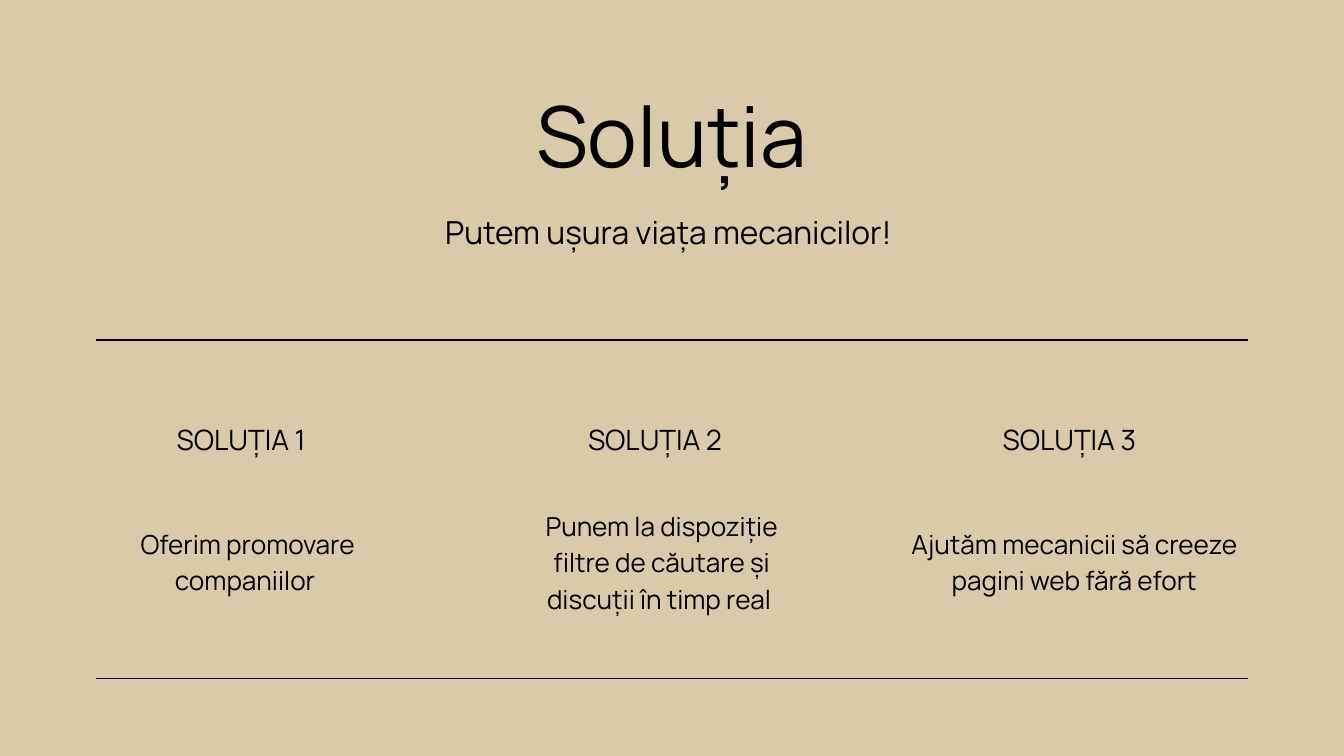
import dataclasses

import lxml.etree
import pptx
import pptx.dml.color
import pptx.enum.shapes
import pptx.enum.text
import pptx.oxml.ns
import pptx.util

ALIGN = pptx.enum.text.PP_ALIGN
SLIDE_WIDTH = pptx.util.Inches(20)
SLIDE_HEIGHT = pptx.util.Inches(11.25)


@dataclasses.dataclass(frozen=True)
class TextStyle:
    size: float
    leading: float  # line height as a multiple of the type size
    alignment: ALIGN = ALIGN.CENTER


@dataclasses.dataclass(frozen=True)
class Theme:
    font: str = "Manrope"
    ink: pptx.dml.color.RGBColor = pptx.dml.color.RGBColor(0, 0, 0)
    background: pptx.dml.color.RGBColor = pptx.dml.color.RGBColor(0xD9, 0xCA, 0xA9)
    rule_width: float = 1.5
    title: TextStyle = TextStyle(90, 1)
    subtitle: TextStyle = TextStyle(34, 1.1)
    heading: TextStyle = TextStyle(30, 1.4, ALIGN.LEFT)
    body: TextStyle = TextStyle(28, 1.4)


@dataclasses.dataclass(frozen=True)
class Solution:
    """One column; left edges and widths are in percent of the slide width."""
    heading: str
    heading_left: float
    heading_width: float
    body: str
    body_left: float
    body_width: float
    body_lines: int


THEME = Theme()
SOLUTIONS = [
    Solution("SOLUȚIA 1", 13.15, 16.1, "Oferim promovare companiilor ", 6.3, 24.25, 2),
    Solution("SOLUȚIA 2", 43.75, 17.25,
             "Punem la dispoziție filtre de căutare și discuții în timp real ",
             38.7, 21.05, 3),
    Solution("SOLUȚIA 3", 74.6, 16.6,
             "Ajutăm mecanicii să creeze pagini web fără efort", 66.15, 27.55, 2),
]
HEADING_TOP, HEADING_HEIGHT = 55.2, 5.07
BODY_MIDDLE, BODY_LINE_HEIGHT = 73.9, 4.76
RULE_LEFT, RULE_RIGHT = 7.15, 92.85
RULE_ROWS = (44.98, 89.78)


def across(percent):
    return round(SLIDE_WIDTH * percent / 100)


def down(percent):
    return round(SLIDE_HEIGHT * percent / 100)


def place(shape, left, top, width, height):
    shape.left, shape.top = across(left), down(top)
    shape.width, shape.height = across(width), down(height)


def write_text(shape, text, style):
    frame = shape.text_frame
    frame.word_wrap = True
    frame.auto_size = pptx.enum.text.MSO_AUTO_SIZE.SHAPE_TO_FIT_TEXT
    frame.vertical_anchor = pptx.enum.text.MSO_ANCHOR.TOP
    frame.margin_left = frame.margin_right = 0
    frame.margin_top = frame.margin_bottom = 0
    paragraph = frame.paragraphs[0]
    paragraph.alignment = style.alignment
    paragraph.line_spacing = pptx.util.Pt(style.size * style.leading)
    paragraph.space_before = pptx.util.Pt(0)
    run = paragraph.add_run()
    run.text = text
    run.font.name = THEME.font
    run.font.size = pptx.util.Pt(style.size)
    run.font.color.rgb = THEME.ink


def fill_placeholder(shape, box, text, style):
    place(shape, *box)
    write_text(shape, text, style)


def add_text(slide, box, text, style):
    shape = slide.shapes.add_textbox(0, 0, 0, 0)
    place(shape, *box)
    write_text(shape, text, style)


def add_solution(slide, solution):
    add_text(slide,
             (solution.heading_left, HEADING_TOP, solution.heading_width, HEADING_HEIGHT),
             solution.heading, THEME.heading)
    height = solution.body_lines * BODY_LINE_HEIGHT
    add_text(slide,
             (solution.body_left, BODY_MIDDLE - height / 2, solution.body_width, height),
             solution.body, THEME.body)


def add_rule(slide, row):
    rule = slide.shapes.add_connector(
        pptx.enum.shapes.MSO_CONNECTOR.STRAIGHT,
        across(RULE_LEFT), down(row), across(RULE_RIGHT), down(row))
    rule.line.color.rgb = THEME.ink
    rule.line.width = pptx.util.Pt(THEME.rule_width)
    properties = rule._element.spPr
    lxml.etree.SubElement(properties, pptx.oxml.ns.qn("a:effectLst"))


def main():
    presentation = pptx.Presentation()
    presentation.slide_width = SLIDE_WIDTH
    presentation.slide_height = SLIDE_HEIGHT
    slide = presentation.slides.add_slide(presentation.slide_layouts[0])
    slide.background.fill.solid()
    slide.background.fill.fore_color.rgb = THEME.background

    fill_placeholder(slide.shapes.title, (27.5, 13.33, 44.95, 11.64),
                     "Soluția", THEME.title)
    fill_placeholder(slide.placeholders[1], (12.3, 28.53, 75.35, 4.71),
                     "Putem ușura viața mecanicilor! ", THEME.subtitle)
    for solution in SOLUTIONS:
        add_solution(slide, solution)
    for row in RULE_ROWS:
        add_rule(slide, row)
    presentation.save("out.pptx")


if __name__ == "__main__":
    main()
